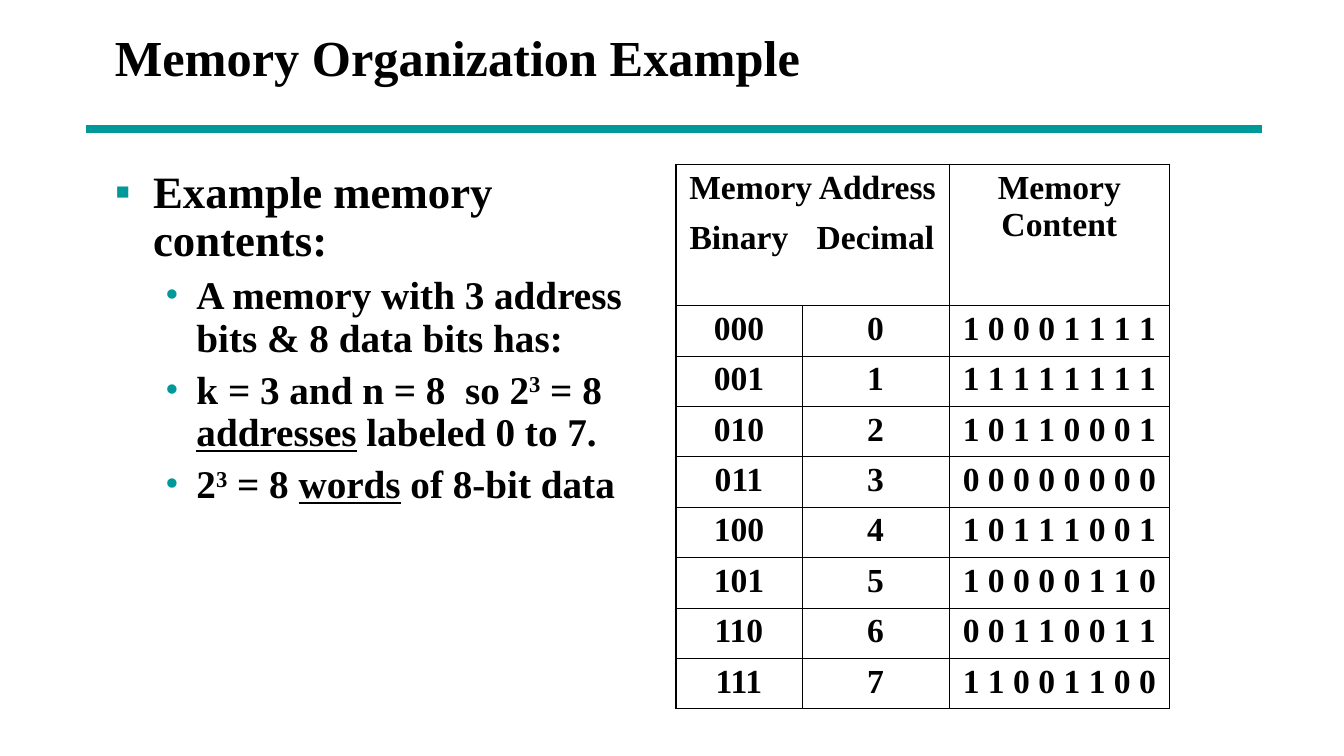
from lxml.etree import SubElement
from pptx import Presentation
from pptx.dml.color import RGBColor
from pptx.enum.shapes import MSO_CONNECTOR
from pptx.enum.text import MSO_ANCHOR, MSO_AUTO_SIZE, PP_ALIGN
from pptx.oxml.ns import qn
from pptx.util import Inches, Pt

# Content
TITLE = "Memory Organization Example"
SUP, UNDER = {"sup": True}, {"underline": True}
BULLETS = [  # level, runs of (text, format)
    (0, [("Example memory contents:", {})]),
    (1, [("A memory with 3 address bits & 8 data bits has:", {})]),
    (1, [("k = 3 and n = 8  so 2", {}), ("3", SUP), (" = 8 ", {}),
         ("addresses", UNDER), (" labeled 0 to 7.", {})]),
    (1, [("2", {}), ("3", SUP), (" = 8 ", {}), ("words", UNDER),
         (" of 8-bit data", {})]),
]
HEADER = [["Memory Address", "", "Memory Content"], ["Binary", "Decimal", ""]]
WORDS = ["10001111", "11111111", "10110001", "00000000",
         "10111001", "10000110", "00110011", "11001100"]

# Format
FONT = "Times New Roman"
BLACK, TEAL = RGBColor(0, 0, 0), RGBColor(0x00, 0x99, 0x99)
LEVELS = [  # size, space before, left indent, hanging, bullet
    (32, 8, 0.38, 0.38, "▪"),
    (28, 7, 0.81, 0.31, "•"),
]
WIDTH, HEIGHT = 13.34, 7.5
LEFT, TOP = 1.04, 1.63
TABLE_LEFT, ROW, COLS = 6.71, 0.5, [1.25, 1.46, 2.19]
THICK, THIN = 1.08, 0.45


def add_text(p, text, size, sup=False, underline=None):
    r = p.add_run()
    r.text = text
    f = r.font
    f.name, f.size, f.bold, f.underline = FONT, Pt(size), True, underline
    f.color.rgb = BLACK
    if sup:
        r._r.get_or_add_rPr().set("baseline", "30000")


def add_bullet(p, char, left, hang):
    pPr = p._p.get_or_add_pPr()
    pPr.set("marL", str(Inches(left)))
    pPr.set("indent", str(-Inches(hang)))
    clr = SubElement(pPr, qn("a:buClr"))
    SubElement(clr, qn("a:srgbClr"), val=str(TEAL))
    SubElement(pPr, qn("a:buFont"), typeface=FONT)
    SubElement(pPr, qn("a:buChar"), char=char)


def add_border(cell, side, width):
    ln = SubElement(cell._tc.get_or_add_tcPr(), qn(f"a:ln{side}"), w=str(Pt(width)))
    if width:
        fill = SubElement(ln, qn("a:solidFill"))
        SubElement(fill, qn("a:srgbClr"), val=str(BLACK))
    else:
        SubElement(ln, qn("a:noFill"))


def place(sp, left, top, width, height):
    sp.left, sp.top, sp.width, sp.height = map(Inches, (left, top, width, height))


prs = Presentation()
prs.slide_width, prs.slide_height = Inches(WIDTH), Inches(HEIGHT)
s = prs.slides.add_slide(prs.slide_layouts[1])

# Title and rule
title, body = s.placeholders
place(title, LEFT, 0, 11.33, 1.12)
tf = title.text_frame
tf.vertical_anchor, tf.auto_size = MSO_ANCHOR.MIDDLE, MSO_AUTO_SIZE.NONE
tf.paragraphs[0].alignment = PP_ALIGN.LEFT
add_text(tf.paragraphs[0], TITLE, 36)

rule = s.shapes.add_connector(MSO_CONNECTOR.STRAIGHT, Inches(0.85), Inches(1.28),
                              Inches(12.53), Inches(1.28))
rule.line.color.rgb, rule.line.width = TEAL, Pt(6)
SubElement(rule._element.spPr, qn("a:effectLst"))

# Bullet list
place(body, LEFT, TOP, 5.28, 5.5)
tf = body.text_frame
tf.auto_size = MSO_AUTO_SIZE.NONE
for i, (level, runs) in enumerate(BULLETS):
    p = tf.add_paragraph() if i else tf.paragraphs[0]
    size, before, left, hang, char = LEVELS[level]
    p.level, p.line_spacing = level, 0.9
    p.space_before = Pt(before if i else 0)
    add_bullet(p, char, left, hang)
    for text, fmt in runs:
        add_text(p, text, size, **fmt)

# Memory table: address in binary, in decimal, and the stored word
rows = HEADER + [[f"{n:03b}", str(n), " ".join(word)] for n, word in enumerate(WORDS)]
n_rows, n_cols = len(rows), len(COLS)
table = s.shapes.add_table(n_rows, n_cols, Inches(TABLE_LEFT), Inches(TOP),
                           Inches(sum(COLS)), Inches(ROW * n_rows)).table
table.first_row = table.horz_banding = False
for col, width in zip(table.columns, COLS):
    col.width = Inches(width)
for i, row in enumerate(table.rows):
    row.height = Inches(0.9 if i == 1 else ROW)
table.cell(0, 0).merge(table.cell(0, 1))
table.cell(0, 2).merge(table.cell(1, 2))

for i, row in enumerate(rows):
    for j, text in enumerate(row):
        cell = table.cell(i, j)
        head = i < len(HEADER)
        add_border(cell, "L", THICK if j == 0 else 0 if head and j == 1 else THIN)
        add_border(cell, "R", THICK if j == n_cols - 1 else 0 if head and j == 0 else THIN)
        add_border(cell, "T", THICK if i == 0 else 0 if i == 1 else THIN)
        add_border(cell, "B", THICK if i == n_rows - 1 else 0 if i == 0 else THIN)
        cell.fill.background()
        if text:
            p = cell.text_frame.paragraphs[0]
            p.alignment = PP_ALIGN.CENTER
            add_text(p, text, 24)

prs.save("out.pptx")
